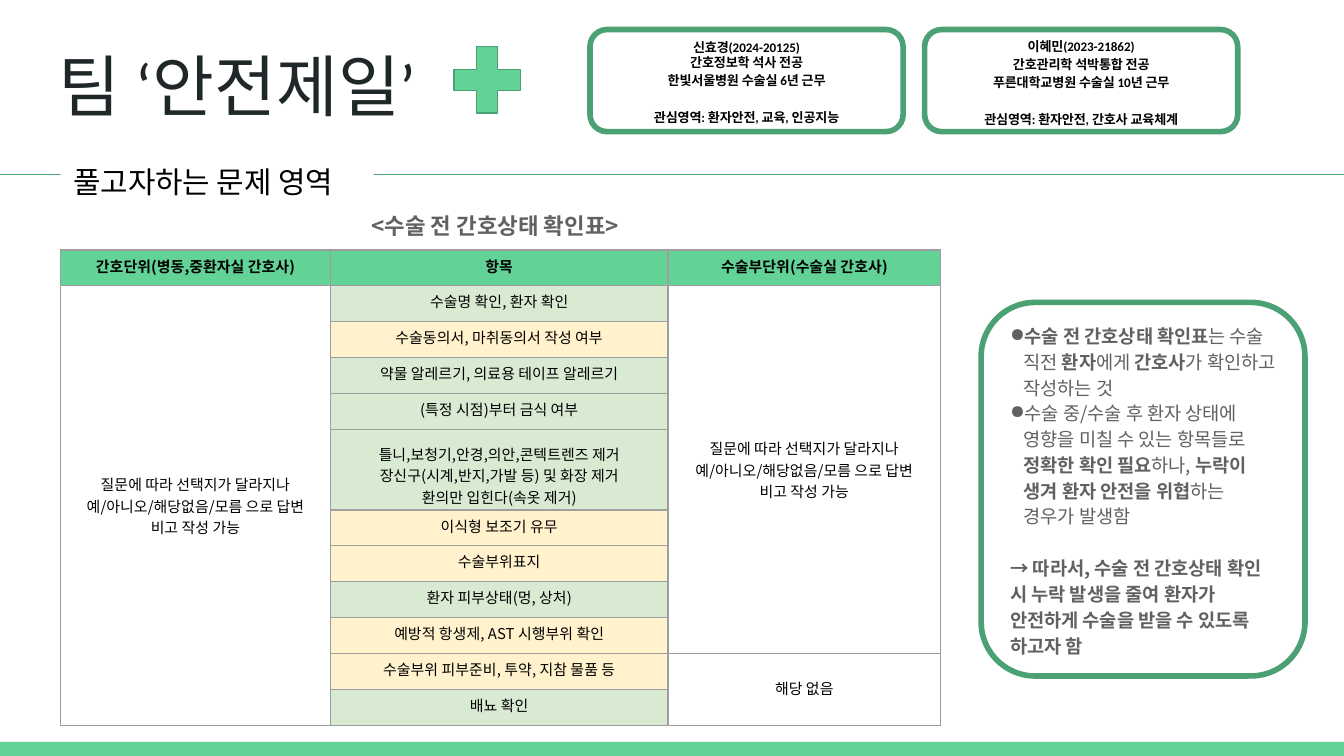
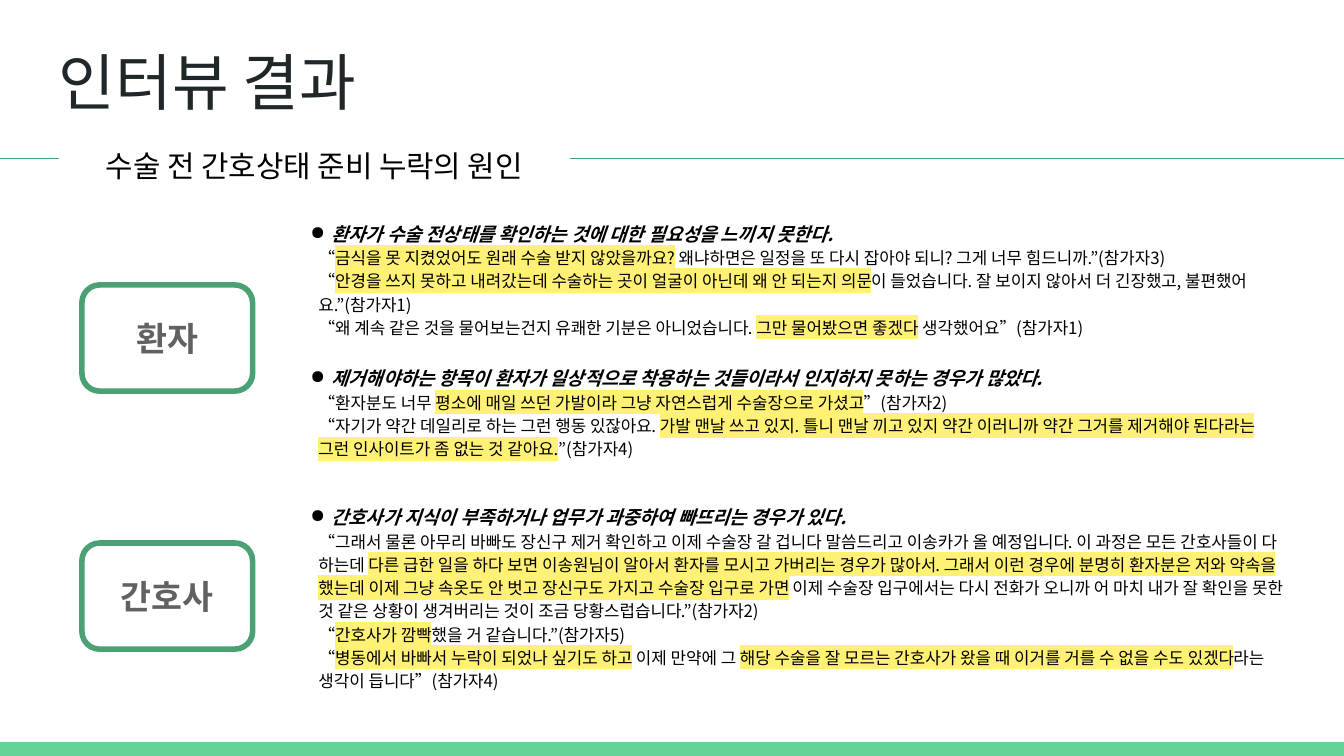
from dataclasses import dataclass

from lxml.etree import SubElement
from pptx import Presentation
from pptx.dml.color import RGBColor as Rgb
from pptx.enum.shapes import MSO_CONNECTOR as Connector, MSO_SHAPE as Preset
from pptx.enum.text import MSO_ANCHOR as Anchor, PP_ALIGN as Align
from pptx.oxml.ns import qn
from pptx.util import Inches, Pt

COLORS = {
    "green": "63D297", "edge": "4BA173", "white": "FFFFFF", "black": "000000",
    "title": "202729", "gray": "616161", "grid": "9E9E9E", "mint": "D9EAD3",
    "cream": "FFF2CC", "marker": "FFF176",
}
LATIN, KOREAN = "Calibri", "Noto Sans CJK KR"
COLUMNS, ROWS = 100, 56.25
MARGIN = 1


@dataclass
class Line:
    """One paragraph; every second part between bars is emphasised."""
    text: str
    size: float = 9
    font: str = KOREAN
    color: str = "black"
    bold: bool = False
    italic: bool = False
    emphasis: str = "bold"
    align: Align = Align.LEFT
    spacing: float = 1.15
    bullet: bool = False
    indent: tuple = (0, 0)
    gap: float = 0


class Board:
    """Draws styled elements on the current slide of a deck."""

    def __init__(self):
        """Open a widescreen deck."""
        self.deck = Presentation()
        self.deck.slide_width, self.deck.slide_height = Inches(10), Inches(5.625)
        self.page = None

    def across(self, columns):
        """Turn grid columns into a length."""
        return int(self.deck.slide_width * columns / COLUMNS)

    def down(self, rows):
        """Turn grid rows into a length."""
        return int(self.deck.slide_height * rows / ROWS)

    def place(self, area):
        """Turn left, top, width and height on the grid into lengths."""
        left, top, width, height = area
        return self.across(left), self.down(top), self.across(width), self.down(height)

    def color(self, name):
        """Look up a named colour."""
        return Rgb.from_string(COLORS[name])

    def start(self, title, size):
        """Begin a slide with its bottom band and title."""
        self.page = self.deck.slides.add_slide(self.deck.slide_layouts[6])
        self.shape(Preset.RECTANGLE, (0, 55.2, 100, 1.05), "green")
        self.text((3.4, 2.3, 93.2, 6.3),
                  [Line(title, size, LATIN, "title", spacing=1)])

    def shape(self, preset, area, fill, edge=0, adjust=None):
        """Add a preset shape without a shadow."""
        box = self.page.shapes.add_shape(preset, *self.place(area))
        box.shadow.inherit = False
        box.fill.solid()
        box.fill.fore_color.rgb = self.color(fill)
        if edge:
            box.line.color.rgb = self.color("edge")
            box.line.width = Pt(edge)
        else:
            box.line.fill.background()
        if adjust is not None:
            box.adjustments[0] = adjust
        return box

    def panel(self, area, lines=()):
        """Add a white rounded panel with a thick green edge."""
        box = self.shape(Preset.ROUNDED_RECTANGLE, area, "white", 3, 0.167)
        if lines:
            self.fill_frame(box.text_frame, lines, Anchor.MIDDLE)

    def text(self, area, lines):
        """Add a text box."""
        box = self.page.shapes.add_textbox(*self.place(area))
        self.fill_frame(box.text_frame, lines)

    def heading(self, area, line):
        """Add a section heading that interrupts a full-width rule."""
        height = area[1] + 2.2
        rule = self.page.shapes.add_connector(
            Connector.STRAIGHT, 0, self.down(height), self.across(100), self.down(height))
        rule.line.color.rgb = self.color("edge")
        rule.line.width = Pt(0.75)
        SubElement(rule.element.spPr, qn("a:effectLst"))
        box = self.shape(Preset.RECTANGLE, area, "white")
        self.fill_frame(box.text_frame, [line])

    def fill_frame(self, frame, lines, anchor=Anchor.TOP):
        """Fill a text frame with paragraphs."""
        frame.word_wrap = True
        frame.vertical_anchor = anchor
        frame.margin_left = frame.margin_right = self.across(MARGIN)
        frame.margin_top = frame.margin_bottom = self.down(MARGIN)
        self.paragraphs(frame, lines)

    def paragraphs(self, frame, lines):
        """Set the lines run by run."""
        for index, line in enumerate(lines):
            para = frame.add_paragraph() if index else frame.paragraphs[0]
            para.alignment = line.align
            para.line_spacing = line.spacing
            para.space_before = Pt(line.gap)
            props = para._p.get_or_add_pPr()
            margin, first = line.indent
            props.set("marL", str(self.across(margin)))
            props.set("indent", str(self.across(first)))
            if line.bullet:
                tint = SubElement(SubElement(props, qn("a:buClr")), qn("a:srgbClr"))
                tint.set("val", COLORS[line.color])
                SubElement(props, qn("a:buChar")).set("char", "●")
            for position, part in enumerate(line.text.split("|")):
                if part:
                    self.span(para, part, line, position % 2 == 1)

    def span(self, para, part, line, strong):
        """Add one run, emphasised if strong."""
        span = para.add_run()
        span.text = part
        font = span.font
        font.size = Pt(line.size)
        font.bold = line.bold or (strong and line.emphasis == "bold")
        font.italic = line.italic
        font.color.rgb = self.color(line.color)
        props = span._r.get_or_add_rPr()
        if strong and line.emphasis == "marker":
            mark = SubElement(SubElement(props, qn("a:highlight")), qn("a:srgbClr"))
            mark.set("val", COLORS["marker"])
        font.name = line.font
        SubElement(props, qn("a:ea")).set("typeface", line.font)

    def table(self, left, top, widths, heights):
        """Add an unfilled table with thin gray borders."""
        area = left, top, sum(widths), sum(heights)
        grid = self.page.shapes.add_table(
            len(heights), len(widths), *self.place(area)).table
        grid.first_row = grid.horz_banding = False
        for column, width in zip(grid.columns, widths):
            column.width = self.across(width)
        for row, height in zip(grid.rows, heights):
            row.height = self.down(height)
        for cell in grid.iter_cells():
            props = cell._tc.get_or_add_tcPr()
            for side in ("a:lnL", "a:lnR", "a:lnT", "a:lnB"):
                border = SubElement(props, qn(side), w=str(Pt(0.75)))
                fill = SubElement(border, qn("a:solidFill"))
                SubElement(fill, qn("a:srgbClr")).set("val", COLORS["grid"])
            cell.fill.background()
        return grid

    def cell(self, cell, texts, fill=None, bold=False, spacing=1.0, anchor=Anchor.TOP):
        """Fill a table cell with centred lines."""
        cell.vertical_anchor = anchor
        cell.margin_left = cell.margin_right = self.across(MARGIN)
        cell.margin_top = cell.margin_bottom = self.down(MARGIN)
        if fill:
            cell.fill.solid()
            cell.fill.fore_color.rgb = self.color(fill)
        self.paragraphs(cell.text_frame, [
            Line(text, 8, bold=bold, align=Align.CENTER, spacing=spacing)
            for text in texts])


MEMBERS = [
    (43.9, 1.9, 1, ["신효경(2024-20125)", "간호정보학 석사 전공",
                    "한빛서울병원 수술실 6년 근무", "관심영역: 환자안전, 교육, 인공지능"]),
    (68.8, 1.7, 1.15, ["이혜민(2023-21862)", "간호관리학 석박통합 전공",
                       "푸른대학교병원 수술실 10년 근무", "관심영역: 환자안전, 간호사 교육체계"]),
]
HEADERS = ["간호단위(병동,중환자실 간호사)", "항목", "수술부단위(수술실 간호사)"]
ANSWERS = ["질문에 따라 선택지가 달라지나", "예/아니오/해당없음/모름 으로 답변", "비고 작성 가능"]
CHECKS = [
    ("mint", ["수술명 확인, 환자 확인"]),
    ("cream", ["수술동의서, 마취동의서 작성 여부"]),
    ("mint", ["약물 알레르기, 의료용 테이프 알레르기"]),
    ("mint", ["(특정 시점)부터 금식 여부"]),
    ("mint", ["틀니,보청기,안경,의안,콘텍트렌즈 제거",
              "장신구(시계,반지,가발 등) 및 화장 제거", "환의만 입힌다(속옷 제거)"]),
    ("cream", ["이식형 보조기 유무"]),
    ("cream", ["수술부위표지"]),
    ("mint", ["환자 피부상태(멍, 상처)"]),
    ("cream", ["예방적 항생제, AST 시행부위 확인"]),
    ("cream", ["수술부위 피부준비, 투약, 지참 물품 등"]),
    ("mint", ["배뇨 확인"]),
]
MERGES = [(0, 1, 11, ANSWERS, 1), (2, 1, 9, ANSWERS, 1), (2, 10, 11, ["해당 없음"], 0.75)]
SUMMARY = [
    "|수술 전 간호상태 확인표|는 수술 직전 |환자|에게 |간호사|가 확인하고 작성하는 것",
    "수술 중/수술 후 환자 상태에 영향을 미칠 수 있는 항목들로 |정확한 확인 필요|하나, "
    "|누락이 생겨 환자 안전을 위협|하는 경우가 발생함",
]
CONCLUSION = ("→ 따라서, 수술 전 간호상태 확인 시 누락 발생을 줄여 환자가 "
              "안전하게 수술을 받을 수 있도록 하고자 함")
INTERVIEWS = [
    ("환자", 21.2, 15.3, 19.8, [
        ("환자가 수술 전상태를 확인하는 것에 대한 필요성을 느끼지 못한다.", [
            "“|금식을 못 지켰었어도 원래 수술 받지 않았을까요?| 왜냐하면은 일정을 또 다시 "
            "잡아야 되니? 그게 너무 힘드니까.”(참가자3)",
            "“|안경을 쓰지 못하고 내려갔는데 수술하는 곳이 얼굴이 아닌데 왜 안 되는지 의문|이 "
            "들었습니다. 잘 보이지 않아서 더 긴장했고, 불편했어요.”(참가자1)",
            "“왜 계속 같은 것을 물어보는건지 유쾌한 기분은 아니었습니다. "
            "|그만 물어봤으면 좋겠다| 생각했어요”(참가자1)"]),
        ("제거해야하는 항목이 환자가 일상적으로 착용하는 것들이라서 인지하지 못하는 경우가 많았다.", [
            "“환자분도 너무 |평소에 매일 쓰던 가발이라 그냥 자연스럽게 수술장으로 가셨고|”(참가자2)",
            "“자기가 약간 데일리로 하는 그런 행동 있잖아요. |가발 맨날 쓰고 있지. 틀니 맨날 끼고 "
            "있지 약간 이러니까 약간 그거를 제거해야 된다라는 그런 인사이트가 좀 없는 것 "
            "같아요.|”(참가자4)"])]),
    ("간호사", 40.4, 36.4, 15.9, [
        ("간호사가 지식이 부족하거나 업무가 과중하여 빠뜨리는 경우가 있다.", [
            "“그래서 물론 아무리 바빠도 장신구 제거 확인하고 이제 수술장 갈 겁니다 말씀드리고 "
            "이송카가 올 예정입니다. 이 과정은 모든 간호사들이 다 하는데 |다른 급한 일을 하다 보면 "
            "이송원님이 알아서 환자를 모시고 가버리는 경우가 많아서. 그래서 이런 경우에 분명히 "
            "환자분은 저와 약속을 했는데 이제 그냥 속옷도 안 벗고 장신구도 가지고 수술장 입구로 "
            "가면| 이제 수술장 입구에서는 다시 전화가 오니까 어 마치 내가 잘 확인을 못한 것 같은 "
            "상황이 생겨버리는 것이 조금 당황스럽습니다.”(참가자2)",
            "“|간호사가 깜빡|했을 거 같습니다.”(참가자5)",
            "“|병동에서 바빠서 누락이 되었나 싶기도 하고| 이제 만약에 그 |해당 수술을 잘 모르는 "
            "간호사가 왔을 때 이거를 거를 수 없을 수도 있겠다|라는 생각이 듭니다”(참가자4)"])]),
]


def draw_team(board):
    """Draw the team, its checklist and the problem."""
    board.start("팀 ‘안전제일’", 36)
    board.shape(Preset.MATH_PLUS, (32.9, 2.6, 6.7, 6.7), "green", 0.75, 0.235)
    for left, top, spacing, texts in MEMBERS:
        board.panel((left, 2.2, 23.3, 7.6))
        board.text((left + 0.3, top, 22.7, 8.4), [
            Line(text, 7, LATIN, bold=True, align=Align.CENTER,
                 spacing=1.15 if index > 1 else spacing, gap=10 if index == 3 else 0)
            for index, text in enumerate(texts)])
    board.heading((4.5, 10.8, 23.3, 4.7), Line("풀고자하는 문제 영역", 16, LATIN))

    heights = [5.6 if len(texts) > 1 else 2.5 for _, texts in CHECKS]
    grid = board.table(4.5, 18.6, (20.1, 25.1, 20.3), [2.5] + heights)
    for column, header in enumerate(HEADERS):
        board.cell(grid.cell(0, column), [header], "green", True, 0.5)
    for row, (fill, texts) in enumerate(CHECKS, 1):
        board.cell(grid.cell(row, 1), texts, fill, spacing=1.0 if len(texts) > 1 else 0.5)
    for column, first, last, texts, spacing in MERGES:
        grid.cell(first, column).merge(grid.cell(last, column))
        board.cell(grid.cell(first, column), texts, spacing=spacing, anchor=Anchor.MIDDLE)

    board.text((23.7, 14.8, 26.3, 3.1), [
        Line("<수술 전 간호상태 확인표>", 12, color="gray", bold=True,
             align=Align.CENTER, spacing=1)])
    points = [Line(text, 10, color="gray", bullet=True, indent=(1, -1.7))
              for text in SUMMARY]
    board.panel((73, 22.5, 24.1, 27.8),
                points + [Line(CONCLUSION, 10, color="gray", bold=True, gap=14)])


def draw_interviews(board):
    """Draw the interview findings for each group."""
    board.start("인터뷰 결과", 33)
    board.heading((4.4, 9.6, 38, 4.7),
                  Line("수술 전 간호상태 준비 누락의 원인", 16, align=Align.CENTER))
    for group, panel_top, text_top, height, findings in INTERVIEWS:
        board.panel((6.1, panel_top, 12.7, 7.9), [
            Line(group, 18, color="gray", bold=True, align=Align.CENTER, spacing=1)])
        lines = []
        for finding, quotes in findings:
            lines.append(Line(finding, 10, bold=True, italic=True, bullet=True,
                              indent=(2, -1.6), gap=14 if lines else 0))
            lines += [Line(quote, emphasis="marker", indent=(1, 0)) for quote in quotes]
        board.text((21.7, text_top, 74.9, height), lines)


def main():
    """Build and save the deck."""
    board = Board()
    draw_team(board)
    draw_interviews(board)
    board.deck.save("out.pptx")


if __name__ == "__main__":
    main()
